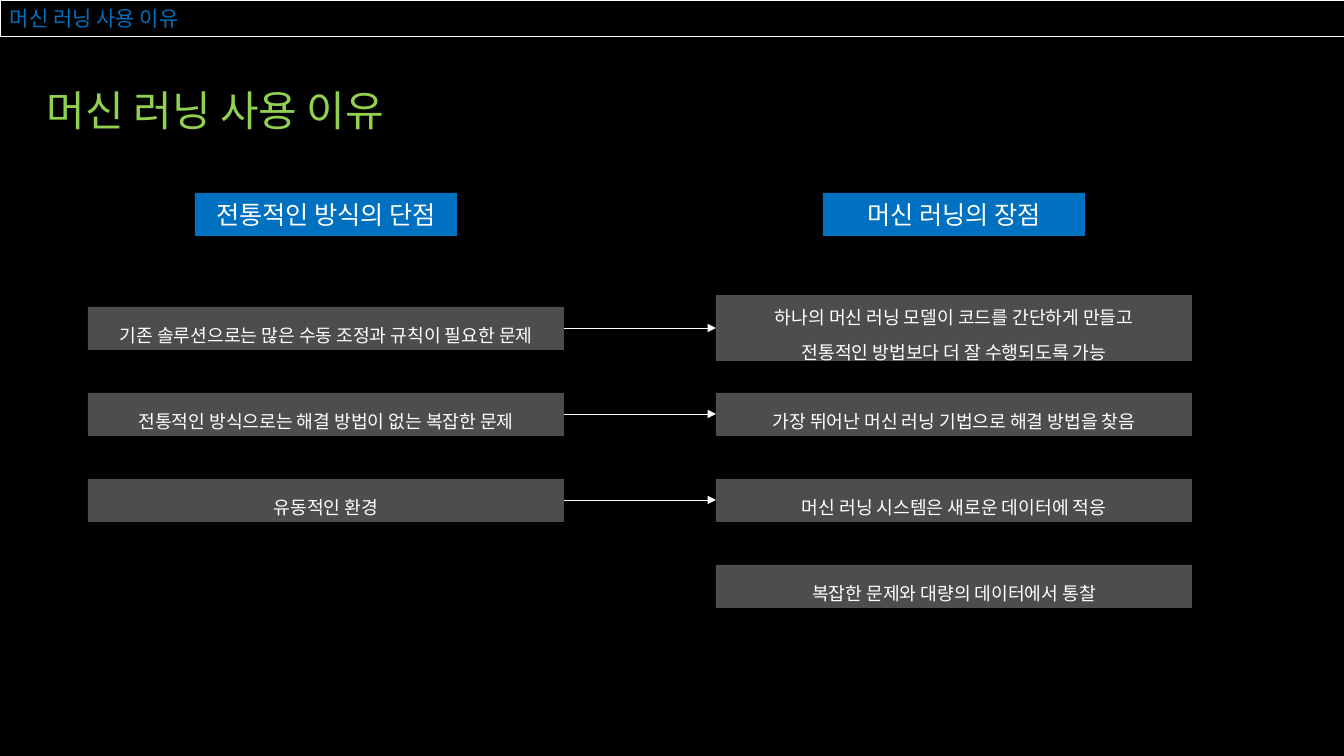
from dataclasses import dataclass

from lxml.etree import SubElement
from pptx import Presentation
from pptx.dml.color import RGBColor as Rgb
from pptx.enum.shapes import MSO_CONNECTOR as Connector
from pptx.enum.shapes import MSO_SHAPE as Shape
from pptx.enum.text import MSO_ANCHOR as Anchor
from pptx.enum.text import PP_ALIGN as Align
from pptx.oxml.ns import qn
from pptx.util import Pt

EMU_PER_PX = 914400 / 100.8


@dataclass(frozen=True)
class Theme:
    """Colours, fonts and type sizes of the slide."""
    background: Rgb = Rgb(0x00, 0x00, 0x00)
    white: Rgb = Rgb(0xFF, 0xFF, 0xFF)
    blue: Rgb = Rgb(0x00, 0x70, 0xC0)
    green: Rgb = Rgb(0x92, 0xD0, 0x50)
    gray: Rgb = Rgb(0x4D, 0x4D, 0x4D)
    korean: str = "Noto Sans CJK KR"
    latin: str = "Calibri"
    banner_size: int = 15
    title_size: int = 30
    heading_size: int = 18
    item_size: int = 13
    line_width: float = 0.5


THEME = Theme()
TOPIC = "머신 러닝 사용 이유"
COLUMN_WIDTH, HEADING_WIDTH = 476, 262
LEFT_COLUMN, RIGHT_COLUMN = 88, 716
FIRST_ROW, ROW_PITCH = 328, 86
HEADING_TOP, BOX_HEIGHT, TALL_HEIGHT = 193, 43, 66
DRAWBACKS = [
    ["기존 솔루션으로는 많은 수동 조정과 규칙이 필요한 문제"],
    ["전통적인 방식으로는 해결 방법이 없는 복잡한 문제"],
    ["유동적인 환경"],
]
ADVANTAGES = [
    ["하나의 머신 러닝 모델이 코드를 간단하게 만들고", "전통적인 방법보다 더 잘 수행되도록 가능"],
    ["가장 뛰어난 머신 러닝 기법으로 해결 방법을 찾음"],
    ["머신 러닝 시스템은 새로운 데이터에 적응"],
    ["복잡한 문제와 대량의 데이터에서 통찰"],
]


def px(*lengths):
    """Turn pixel lengths into EMU."""
    return [round(length * EMU_PER_PX) for length in lengths]


def write(frame, lines, size, color, latin, align, spacing, anchor):
    """Fill a text frame with one paragraph per line."""
    frame.word_wrap = True
    frame.vertical_anchor = anchor
    for index, line in enumerate(lines):
        paragraph = frame.add_paragraph() if index else frame.paragraphs[0]
        paragraph.alignment = align
        paragraph.line_spacing = spacing
        run = paragraph.add_run()
        run.text = line
        run.font.size = Pt(size)
        run.font.name = latin
        run.font.color.rgb = color
        SubElement(run.font._element, qn("a:ea"), typeface=THEME.korean)


def add_banner(slide):
    """Draw the outlined strip along the top edge."""
    banner = slide.shapes.add_shape(Shape.RECTANGLE, *px(0, 0, 1344, 36))
    banner.shadow.inherit = False
    banner.fill.background()
    banner.line.color.rgb = THEME.white
    banner.line.width = Pt(THEME.line_width)
    write(banner.text_frame, [TOPIC], THEME.banner_size, THEME.blue,
          THEME.korean, Align.LEFT, 0.9, Anchor.BOTTOM)


def add_title(slide):
    """Write the large slide title."""
    title = slide.shapes.add_textbox(*px(37, 85, 1182, 41))
    write(title.text_frame, [TOPIC], THEME.title_size, THEME.green,
          THEME.korean, Align.LEFT, 0.9, Anchor.TOP)


def add_box(slide, left, top, width, height, fill, lines, size, spacing):
    """Draw a filled box with centred white text."""
    box = slide.shapes.add_shape(Shape.RECTANGLE, *px(left, top, width, height))
    box.shadow.inherit = False
    box.fill.solid()
    box.fill.fore_color.rgb = fill
    box.line.fill.background()
    write(box.text_frame, lines, size, THEME.white, THEME.latin,
          Align.CENTER, spacing, Anchor.MIDDLE)


def add_column(slide, left, heading, items):
    """Draw a heading and the evenly spaced items below it."""
    heading_left = left + (COLUMN_WIDTH - HEADING_WIDTH) // 2
    add_box(slide, heading_left, HEADING_TOP, HEADING_WIDTH, BOX_HEIGHT,
            THEME.blue, [heading], THEME.heading_size, 1.0)
    for row, lines in enumerate(items):
        height = TALL_HEIGHT if len(lines) > 1 else BOX_HEIGHT
        top = FIRST_ROW + row * ROW_PITCH - height // 2
        add_box(slide, left, top, COLUMN_WIDTH, height, THEME.gray, lines,
                THEME.item_size, 1.6)


def add_arrow(slide, row):
    """Link a drawback to the advantage in the same row."""
    middle = FIRST_ROW + row * ROW_PITCH
    arrow = slide.shapes.add_connector(
        Connector.STRAIGHT,
        *px(LEFT_COLUMN + COLUMN_WIDTH, middle, RIGHT_COLUMN, middle))
    arrow.line.color.rgb = THEME.white
    arrow.line.width = Pt(THEME.line_width)
    SubElement(arrow.line._get_or_add_ln(), qn("a:tailEnd"), type="triangle")
    SubElement(arrow._element.spPr, qn("a:effectLst"))


def main():
    """Build and save the slide."""
    deck = Presentation()
    deck.slide_width, deck.slide_height = px(1344, 756)
    slide = deck.slides.add_slide(deck.slide_layouts[6])
    slide.background.fill.solid()
    slide.background.fill.fore_color.rgb = THEME.background
    add_banner(slide)
    add_title(slide)
    add_column(slide, LEFT_COLUMN, "전통적인 방식의 단점", DRAWBACKS)
    add_column(slide, RIGHT_COLUMN, "머신 러닝의 장점", ADVANTAGES)
    for row in range(len(DRAWBACKS)):
        add_arrow(slide, row)
    deck.save("out.pptx")


if __name__ == "__main__":
    main()
